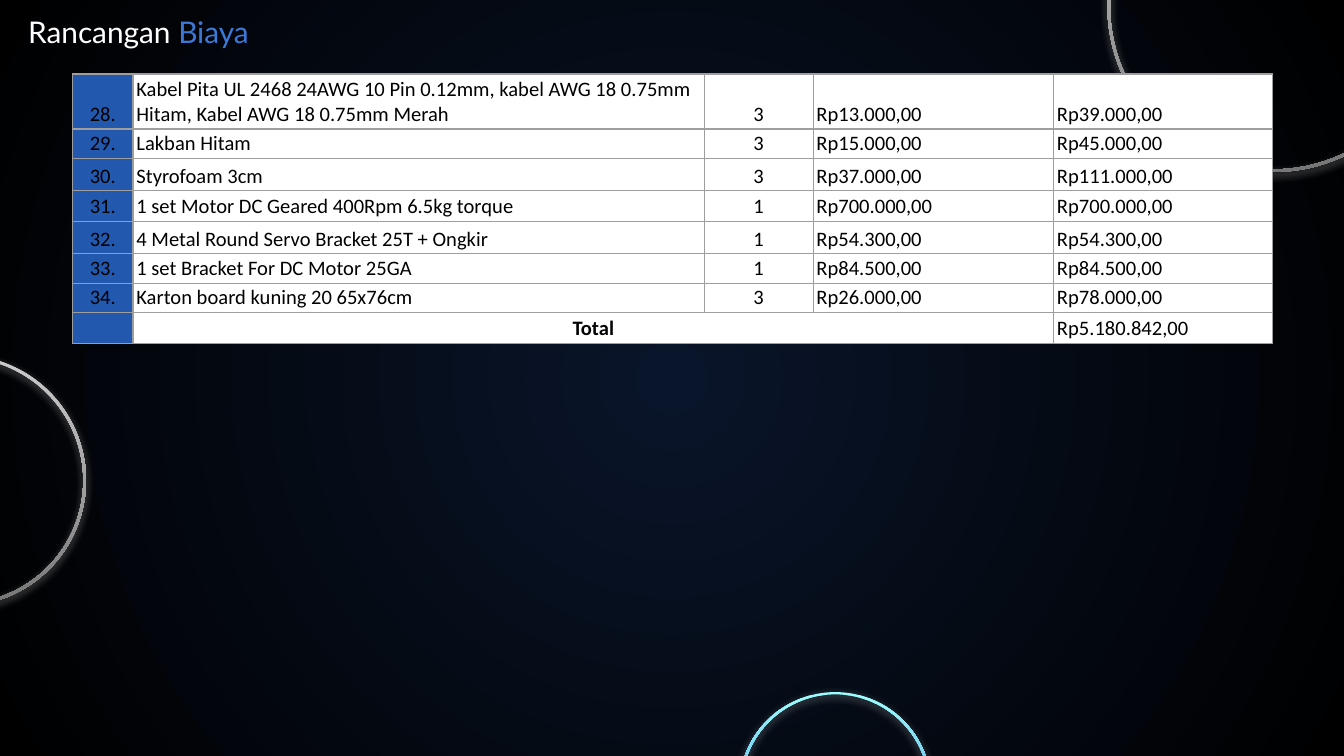
from lxml.etree import SubElement
from pptx import Presentation
from pptx.dml.color import RGBColor
from pptx.enum.shapes import MSO_SHAPE as Shape
from pptx.enum.text import MSO_ANCHOR as Anchor, PP_ALIGN as Align
from pptx.oxml.ns import qn
from pptx.util import Inches, Pt

WHITE, BLACK, BLUE = "FFFFFF", "000000", "3C78D8"
NUMBER_FILL, GRID = "2258AD", "9E9E9E"
SILVER_RING = ("CCCCCC", "767676")
CYAN_RING = ("9CFFFF", BLUE)

# left, top, diameter, relative thickness, gradient colours
RINGS = [
    (8.24, -1.19, 2.47, 0.008, SILVER_RING),
    (5.5, 5.15, 1.43, 0.012, CYAN_RING),
    (-1.23, 2.64, 1.87, 0.011, SILVER_RING),
]

COLUMN_WIDTHS = [0.45, 4.25, 0.81, 1.79, 1.63]
ROW_HEIGHTS = [0.41, 0.21, 0.24, 0.23, 0.24, 0.2, 0.2, 0.23]
ALIGNMENTS = [Align.CENTER, Align.LEFT, Align.CENTER, Align.LEFT, Align.LEFT]
COSTS = [
    ("28.", "Kabel Pita UL 2468 24AWG 10 Pin 0.12mm, kabel AWG 18 0.75mm "
     "Hitam, Kabel AWG 18 0.75mm Merah", "3", "Rp13.000,00", "Rp39.000,00"),
    ("29.", "Lakban Hitam", "3", "Rp15.000,00", "Rp45.000,00"),
    ("30.", "Styrofoam 3cm", "3", "Rp37.000,00", "Rp111.000,00"),
    ("31.", "1 set Motor DC Geared 400Rpm 6.5kg torque", "1",
     "Rp700.000,00", "Rp700.000,00"),
    ("32.", "4 Metal Round Servo Bracket 25T + Ongkir", "1",
     "Rp54.300,00", "Rp54.300,00"),
    ("33.", "1 set Bracket For DC Motor 25GA", "1",
     "Rp84.500,00", "Rp84.500,00"),
    ("34.", "Karton board kuning 20 65x76cm", "3",
     "Rp26.000,00", "Rp78.000,00"),
    ("", "Total", "", "", "Rp5.180.842,00"),
]


def color(hex_code):
    return RGBColor.from_string(hex_code)


def set_gradient(fill, colors):
    fill.gradient()
    for stop, hex_code in zip(fill.gradient_stops, colors):
        stop.color.rgb = color(hex_code)


def set_background(slide):
    set_gradient(slide.background.fill, ("09152A", BLACK))
    gradient = slide.element.find(".//" + qn("p:bgPr") + "/" + qn("a:gradFill"))
    gradient.remove(gradient.find(qn("a:lin")))
    radial = SubElement(gradient, qn("a:path"), path="circle")
    SubElement(radial, qn("a:fillToRect"),
               l="50000", t="50000", r="50000", b="50000")


def add_title(slide):
    title = slide.shapes.title
    title.left, title.top = Inches(0.11), Inches(0)
    title.width, title.height = Inches(2.85), Inches(0.47)
    frame = title.text_frame
    frame.margin_left = frame.margin_right = Inches(0.1)
    frame.margin_top = frame.margin_bottom = Inches(0.1)
    frame.vertical_anchor = Anchor.TOP
    heading = frame.paragraphs[0]
    heading.alignment = Align.LEFT
    for words, hex_code in (("Rancangan ", WHITE), ("Biaya", BLUE)):
        run = heading.add_run()
        run.text = words
        run.font.name, run.font.size = "Lato", Pt(16)
        run.font.color.rgb = color(hex_code)


def add_ring(slide, left, top, diameter, thickness, colors):
    ring = slide.shapes.add_shape(Shape.DONUT, Inches(left), Inches(top),
                                  Inches(diameter), Inches(diameter))
    ring.adjustments[0] = thickness
    set_gradient(ring.fill, colors)
    ring.fill.gradient_angle = 270
    ring.line.fill.background()
    # Soft white glow below the ring
    ring.shadow.inherit = False
    effects = ring.element.spPr.find(qn("a:effectLst"))
    glow = SubElement(effects, qn("a:outerShdw"), blurRad=str(Pt(4.5)),
                      dist=str(Pt(1.5)), dir="5400000", algn="bl",
                      rotWithShape="0")
    tint = SubElement(glow, qn("a:srgbClr"), val=WHITE)
    SubElement(tint, qn("a:alpha"), val="50000")


def add_borders(cell):
    properties = cell._tc.get_or_add_tcPr()
    for side in ("a:lnL", "a:lnR", "a:lnT", "a:lnB"):
        border = SubElement(properties, qn(side), w=str(Pt(0.75)))
        solid = SubElement(border, qn("a:solidFill"))
        SubElement(solid, qn("a:srgbClr"), val=GRID)


def format_cell(cell, words, alignment, fill, bold):
    add_borders(cell)
    cell.fill.solid()
    cell.fill.fore_color.rgb = color(fill)
    cell.margin_left = cell.margin_right = Pt(1.8)
    cell.margin_top = cell.margin_bottom = Pt(1.1)
    cell.vertical_anchor = Anchor.BOTTOM
    paragraph = cell.text_frame.paragraphs[0]
    paragraph.alignment = alignment
    if not words:
        # Keep empty cells from stretching the row
        SubElement(paragraph._p, qn("a:endParaRPr"), sz="1100")
        return
    paragraph.text = words
    font = paragraph.runs[0].font
    font.name, font.size, font.bold = "Calibri", Pt(11), bold
    font.color.rgb = color(BLACK)


def add_cost_table(slide):
    table = slide.shapes.add_table(
        len(COSTS), len(COLUMN_WIDTHS), Inches(0.54), Inches(0.55),
        Inches(sum(COLUMN_WIDTHS)), Inches(sum(ROW_HEIGHTS))).table
    table.first_row = table.horz_banding = False
    for column, width in zip(table.columns, COLUMN_WIDTHS):
        column.width = Inches(width)
    for row, height in zip(table.rows, ROW_HEIGHTS):
        row.height = Inches(height)

    total_row = len(COSTS) - 1
    table.cell(total_row, 1).merge(table.cell(total_row, 3))
    for r, cost in enumerate(COSTS):
        for c, words in enumerate(cost):
            is_total = words == "Total"
            format_cell(table.cell(r, c), words,
                        Align.CENTER if is_total else ALIGNMENTS[c],
                        WHITE if c else NUMBER_FILL, is_total)


def main():
    deck = Presentation()
    # Widescreen, 16:9
    deck.slide_width, deck.slide_height = Inches(10), Inches(10 * 9 / 16)
    slide = deck.slides.add_slide(deck.slide_layouts[5])
    set_background(slide)
    add_title(slide)
    for ring in RINGS:
        add_ring(slide, *ring)
    add_cost_table(slide)
    deck.save("out.pptx")


if __name__ == "__main__":
    main()
